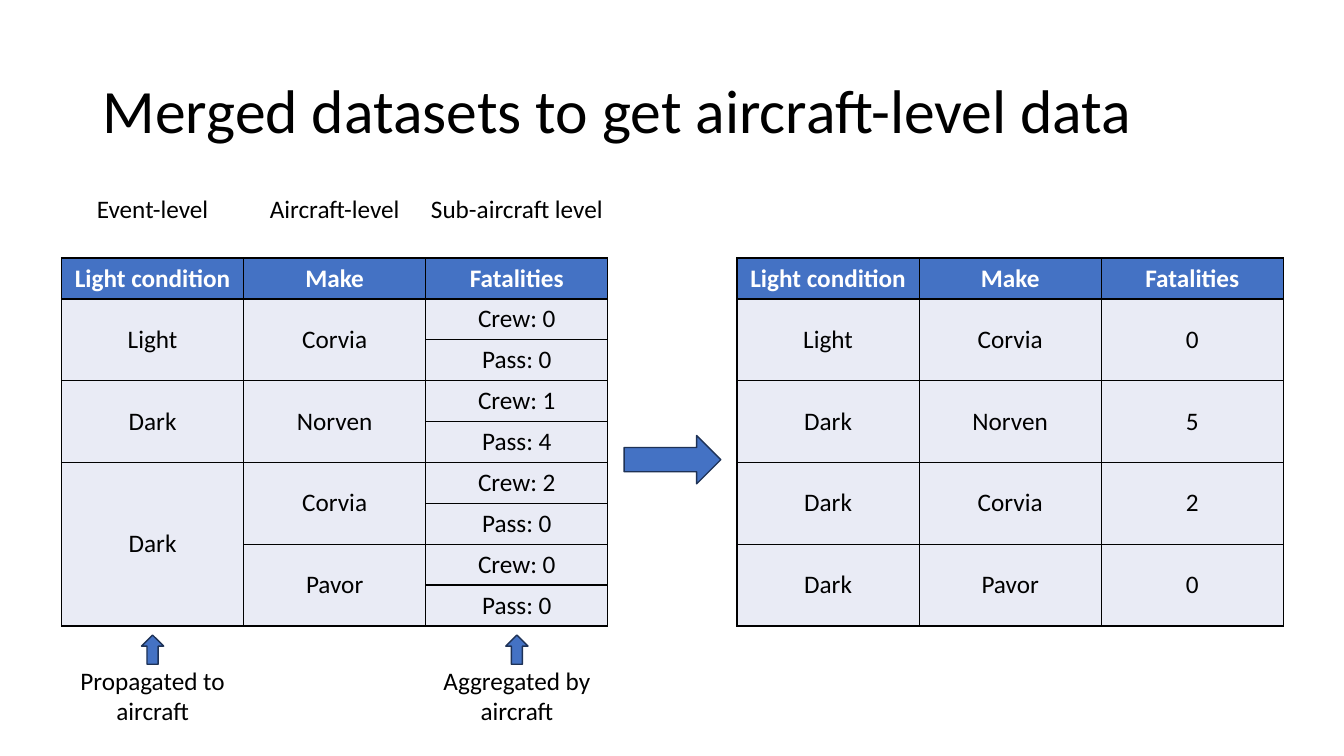
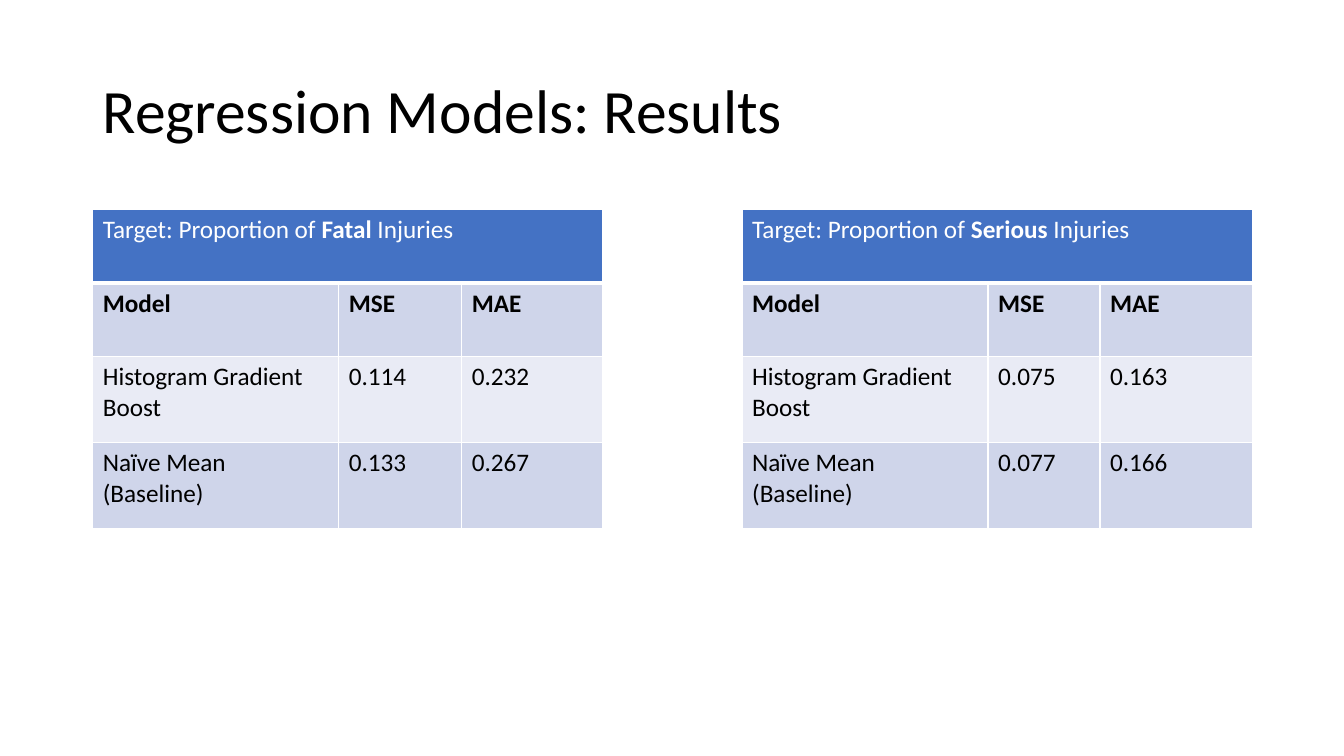
"""Build two slides on aircraft-level data and regression results."""
from itertools import takewhile

from lxml.etree import SubElement
from pptx import Presentation
from pptx.dml.color import RGBColor
from pptx.enum.shapes import MSO_SHAPE as Preset
from pptx.enum.text import MSO_ANCHOR as Anchor, PP_ALIGN as Align
from pptx.oxml.ns import qn
from pptx.util import Inches, Pt

COLORS = {"text": "000000", "paper": "FFFFFF", "accent": "4472C4",
          "outline": "1E3256", "pale": "E9EBF5", "band": "CFD5EA"}
FONT = "Calibri"

MERGE_TITLE = "Merged datasets to get aircraft-level data"
MERGE_HEADER = ["Light condition", "Make", "Fatalities"]
SOURCE_ROWS = [
    MERGE_HEADER,
    ["Light", "Corvia", "Crew: 0"],
    [None, None, "Pass: 0"],
    ["Dark", "Norven", "Crew: 1"],
    [None, None, "Pass: 4"],
    ["Dark", "Corvia", "Crew: 2"],
    [None, None, "Pass: 0"],
    [None, "Pavor", "Crew: 0"],
    [None, None, "Pass: 0"],
]
MERGED_ROWS = [
    MERGE_HEADER,
    ["Light", "Corvia", "0"],
    ["Dark", "Norven", "5"],
    ["Dark", "Corvia", "2"],
    ["Dark", "Pavor", "0"],
]
LEVELS = [("Event-level", 1.81), ("Aircraft-level", 1.81), ("Sub-aircraft level", 2.14)]
STEPS = {0: "Propagated to aircraft", 2: "Aggregated by aircraft"}

RESULTS_TITLE = "Regression Models: Results"
RESULTS = [
    {"left": 0.92, "columns": [2.44, 1.22, 1.4], "target": "Fatal",
     "boost": ["0.114", "0.232"], "baseline": ["0.133", "0.267"]},
    {"left": 7.36, "columns": [2.44, 1.11, 1.51], "target": "Serious",
     "boost": ["0.075", "0.163"], "baseline": ["0.077", "0.166"]},
]

SOURCE_LEFT, MERGED_LEFT, MERGE_TOP = 0.61, 7.31, 2.56
COLUMN_WIDTH = 5.42 / 3
ROW_HEIGHT = 3.65 / 9
GRID_STYLE = {"border": "text", "align": Align.CENTER, "body_anchor": Anchor.MIDDLE,
              "bold_row": 0, "header_rule": 1}
RESULT_STYLE = {"border": "paper", "align": Align.LEFT, "body_anchor": Anchor.TOP,
                "bold_row": 1, "header_rule": 3}


def rgb(name):
    return RGBColor.from_string(COLORS[name])


def write(frame, text, size=18, color="text", bold=False, align=Align.LEFT, spacing=None):
    """Write text, with the parts between bars in bold."""
    paragraph = frame.paragraphs[0]
    paragraph.alignment = align
    paragraph.line_spacing = spacing
    for index, part in enumerate(text.split("|")):
        run = paragraph.add_run()
        run.text = part
        run.font.color.rgb = rgb(color)
        font_format = {"name": FONT, "size": Pt(size), "bold": bold or index % 2 == 1}
        for key, value in font_format.items():
            setattr(run.font, key, value)


def add_text(slide, text, box, anchor=Anchor.TOP, **text_format):
    frame = slide.shapes.add_textbox(*map(Inches, box)).text_frame
    frame.word_wrap = True
    frame.vertical_anchor = anchor
    write(frame, text, **text_format)


def add_titled_slide(presentation, title):
    slide = presentation.slides.add_slide(presentation.slide_layouts[6])
    add_text(slide, title, (0.92, 0.4, 11.5, 1.45), Anchor.MIDDLE, size=44, spacing=0.9)
    return slide


def add_arrow(slide, preset, box):
    arrow = slide.shapes.add_shape(preset, *map(Inches, box))
    arrow.shadow.inherit = False
    arrow.fill.solid()
    arrow.fill.fore_color.rgb = rgb("accent")
    arrow.line.color.rgb = rgb("outline")
    arrow.line.width = Pt(1)


def set_borders(cell, color, top, bottom):
    properties = cell._tc.get_or_add_tcPr()
    for side, width in {"L": 1, "R": 1, "T": top, "B": bottom}.items():
        line = SubElement(properties, qn(f"a:ln{side}"), w=str(Pt(width)))
        fill = SubElement(line, qn("a:solidFill"))
        SubElement(fill, qn("a:srgbClr"), val=COLORS[color])


def add_grid(slide, rows, position, columns, heights, fills, style):
    """Add a table; None joins the cell above, a one-cell row spans all columns."""
    size = sum(columns), sum(heights)
    table = slide.shapes.add_table(len(rows), len(columns),
                                   *map(Inches, (*position, *size))).table
    for column, width in zip(table.columns, columns):
        column.width = Inches(width)
    for row, height in zip(table.rows, heights):
        row.height = Inches(height)
    for r, texts in enumerate(rows):
        for c in range(len(columns)):
            cell = table.cell(r, c)
            set_borders(cell, style["border"], style["header_rule"] if r == 1 else 1,
                        style["header_rule"] if r == 0 else 1)
            cell.fill.solid()
            cell.fill.fore_color.rgb = rgb(fills[r])
        for c, text in enumerate(texts):
            if text is None:
                continue
            cell = table.cell(r, c)
            below = list(takewhile(lambda row: row[c] is None, rows[r + 1:]))
            last_column = len(columns) - 1 if len(texts) == 1 else c
            if below or last_column > c:
                cell.merge(table.cell(r + len(below), last_column))
            cell.vertical_anchor = style["body_anchor"] if r else Anchor.TOP
            write(cell.text_frame, text, color="text" if r else "paper",
                  bold=r == style["bold_row"], align=style["align"])


def build_merge_slide(presentation):
    slide = add_titled_slide(presentation, MERGE_TITLE)
    for rows, left, units in ((SOURCE_ROWS, SOURCE_LEFT, 1), (MERGED_ROWS, MERGED_LEFT, 2)):
        body = len(rows) - 1
        add_grid(slide, rows, (left, MERGE_TOP), [COLUMN_WIDTH] * 3,
                 [ROW_HEIGHT] + [ROW_HEIGHT * units] * body,
                 ["accent"] + ["pale"] * body, GRID_STYLE)
    add_arrow(slide, Preset.RIGHT_ARROW, (6.19, 4.32, 0.96, 0.48))
    centers = [SOURCE_LEFT + COLUMN_WIDTH * (index + 0.5) for index in range(3)]
    for center, (label, width) in zip(centers, LEVELS):
        add_text(slide, label, (center - width / 2, 1.87, width, 0.4), align=Align.CENTER)
    for column, label in STEPS.items():
        center = centers[column]
        add_text(slide, label, (center - COLUMN_WIDTH / 2, 6.55, COLUMN_WIDTH, 0.71),
                 align=Align.CENTER)
        add_arrow(slide, Preset.UP_ARROW, (center - 0.11, 6.3, 0.22, 0.29))


def build_results_slide(presentation):
    slide = add_titled_slide(presentation, RESULTS_TITLE)
    for result in RESULTS:
        rows = [
            [f"Target: Proportion of |{result['target']}| Injuries"],
            ["Model", "MSE", "MAE"],
            ["Histogram Gradient Boost", *result["boost"]],
            ["Naïve Mean (Baseline)", *result["baseline"]],
        ]
        add_grid(slide, rows, (result["left"], 2.08), result["columns"],
                 [0.73, 0.73, 0.85, 0.85], ["accent", "band", "pale", "band"], RESULT_STYLE)


def main():
    presentation = Presentation()
    presentation.slide_width = Inches(13.33)
    presentation.slide_height = Inches(7.5)
    build_merge_slide(presentation)
    build_results_slide(presentation)
    presentation.save("out.pptx")


if __name__ == "__main__":
    main()
